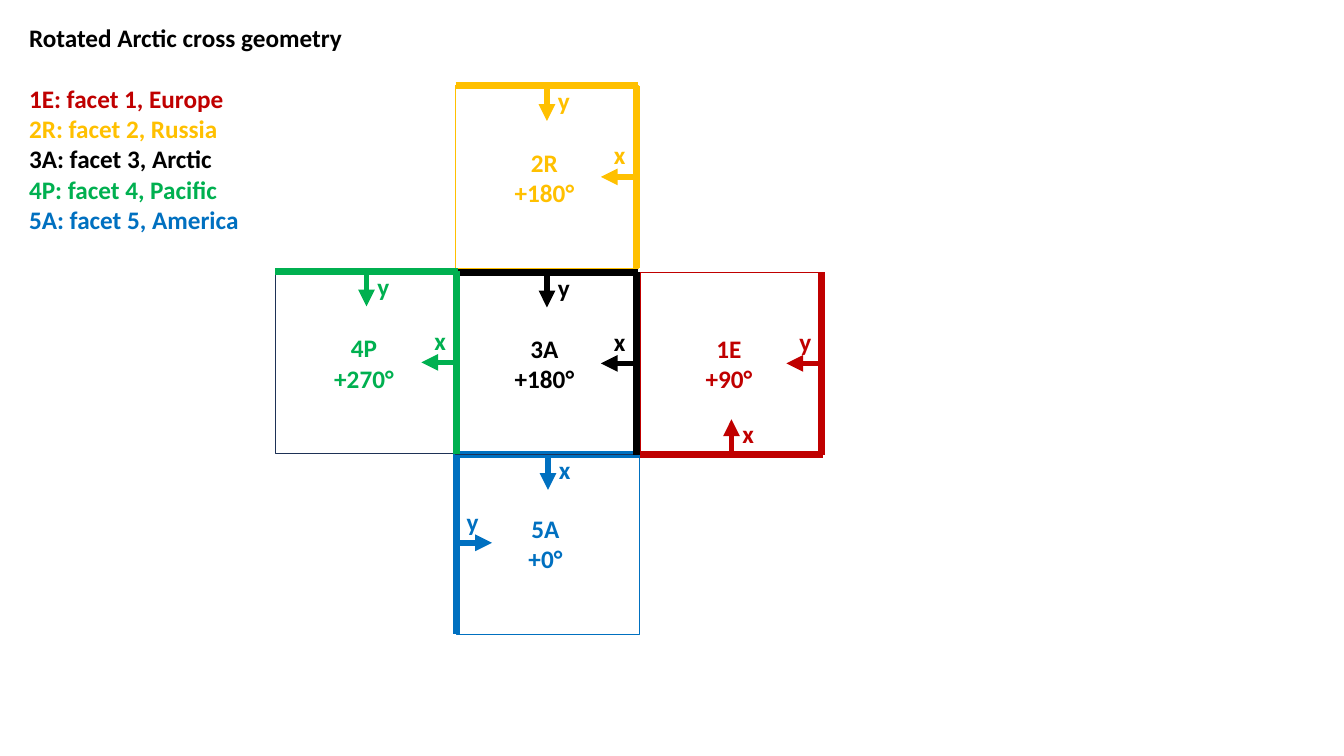
from dataclasses import dataclass

from lxml.etree import SubElement
from pptx import Presentation
from pptx.dml.color import RGBColor
from pptx.enum.shapes import MSO_CONNECTOR, MSO_SHAPE
from pptx.enum.text import MSO_AUTO_SIZE, PP_ALIGN
from pptx.oxml.ns import qn
from pptx.util import Inches, Pt


@dataclass(frozen=True)
class Theme:
    font: str = "Calibri"
    text_size: float = 18
    outline_width: float = 0.5
    edge_width: float = 5
    arrow_width: float = 4
    black: str = "000000"
    red: str = "C00000"
    yellow: str = "FFC000"
    green: str = "00B050"
    blue: str = "0070C0"
    navy: str = "1E3256"


@dataclass(frozen=True)
class Axis:
    """A coordinate axis that starts at one side of a facet, inset from its outline."""
    side: str
    label: str
    inset: float = 0


@dataclass(frozen=True)
class Facet:
    code: str
    rotation: str
    left: float
    top: float
    color: str
    outline: str
    axes: tuple


THEME = Theme()
FACET_SIZE = 1.81
ARROW_LENGTH = 0.35

LEGEND = (
    ("Rotated Arctic cross geometry", THEME.black),
    ("1E: facet 1, Europe", THEME.red),
    ("2R: facet 2, Russia", THEME.yellow),
    ("3A: facet 3, Arctic", THEME.black),
    ("4P: facet 4, Pacific", THEME.green),
    ("5A: facet 5, America", THEME.blue),
)

FACETS = (
    Facet("2R", "+180°", 4.52, 0.85, THEME.yellow, THEME.yellow,
          (Axis("right", "x", 0.02), Axis("top", "y"))),
    Facet("1E", "+90°", 6.35, 2.7, THEME.red, THEME.red,
          (Axis("bottom", "x"), Axis("right", "y", 0.01))),
    Facet("5A", "+0°", 4.53, 4.48, THEME.blue, THEME.blue,
          (Axis("left", "y"), Axis("top", "x", 0.03))),
    Facet("3A", "+180°", 4.52, 2.7, THEME.black, THEME.navy,
          (Axis("right", "x", 0.02), Axis("top", "y"))),
    Facet("4P", "+270°", 2.73, 2.69, THEME.green, THEME.navy,
          (Axis("right", "x", 0.01), Axis("top", "y"))),
)


def add_text(slide, left, top, width, height, lines, align=PP_ALIGN.LEFT):
    """Add a bold text box; lines holds one (text, colour) pair per paragraph."""
    box = slide.shapes.add_textbox(Inches(left), Inches(top), Inches(width), Inches(height))
    frame = box.text_frame
    frame.word_wrap = False
    frame.auto_size = MSO_AUTO_SIZE.SHAPE_TO_FIT_TEXT
    frame.text = "\n".join(text for text, _ in lines)
    for para, (_, color) in zip(frame.paragraphs, lines):
        para.alignment = align
        font = para.runs[0].font
        font.name = THEME.font
        font.size = Pt(THEME.text_size)
        font.bold = True
        font.color.rgb = RGBColor.from_string(color)
    return box


def add_line(slide, start, end, color, width, arrow=False):
    line = slide.shapes.add_connector(
        MSO_CONNECTOR.STRAIGHT, *(Inches(value) for value in (*start, *end)))
    line.line.color.rgb = RGBColor.from_string(color)
    line.line.width = Pt(width)
    if arrow:
        SubElement(line.line._get_or_add_ln(), qn("a:tailEnd"), type="triangle")
    SubElement(line._element.spPr, qn("a:effectLst"))


def add_outline(slide, facet):
    square = slide.shapes.add_shape(
        MSO_SHAPE.RECTANGLE, Inches(facet.left), Inches(facet.top),
        Inches(FACET_SIZE), Inches(FACET_SIZE))
    square.shadow.inherit = False
    square.fill.background()
    square.line.color.rgb = RGBColor.from_string(facet.outline)
    square.line.width = Pt(THEME.outline_width)


def add_axis(slide, facet, axis):
    """Draw the thick edge, the arrow pointing inward from it and the axis letter."""
    horizontal = axis.side in ("top", "bottom")
    at_start = axis.side in ("top", "left")
    inward = 1 if at_start else -1
    along, across = (facet.left, facet.top) if horizontal else (facet.top, facet.left)
    edge = across + (0 if at_start else FACET_SIZE) + inward * axis.inset
    middle = along + FACET_SIZE / 2

    def point(position, depth):
        return (position, depth) if horizontal else (depth, position)

    add_line(slide, point(along, edge), point(along + FACET_SIZE, edge),
             facet.color, THEME.edge_width)
    add_line(slide, point(middle, edge), point(middle, edge + inward * ARROW_LENGTH),
             facet.color, THEME.arrow_width, arrow=True)

    label_left, label_top = {
        "top": (middle + 0.01, edge - 0.05),
        "bottom": (middle + 0.01, edge - 0.41),
        "left": (edge, middle - 0.41),
        "right": (edge - 0.32, middle - 0.42),
    }[axis.side]
    add_text(slide, label_left, label_top, 0.32, 0.4, [(axis.label, facet.color)])


def add_facet(slide, facet):
    add_outline(slide, facet)
    for axis in facet.axes:
        add_axis(slide, facet, axis)
    add_text(slide, facet.left + 0.48, facet.top + 0.56, 0.8, 0.71,
             [(facet.code, facet.color), (facet.rotation, facet.color)], PP_ALIGN.CENTER)


def add_legend(slide):
    box = add_text(slide, 0.19, 0.17, 3.33, 2.22, LEGEND)
    box.text_frame.paragraphs[1].space_before = Pt(22)


def main():
    deck = Presentation()
    deck.slide_width, deck.slide_height = Inches(13.33), Inches(7.5)
    slide = deck.slides.add_slide(deck.slide_layouts[6])
    add_legend(slide)
    for facet in FACETS:
        add_facet(slide, facet)
    deck.save("out.pptx")


if __name__ == "__main__":
    main()
